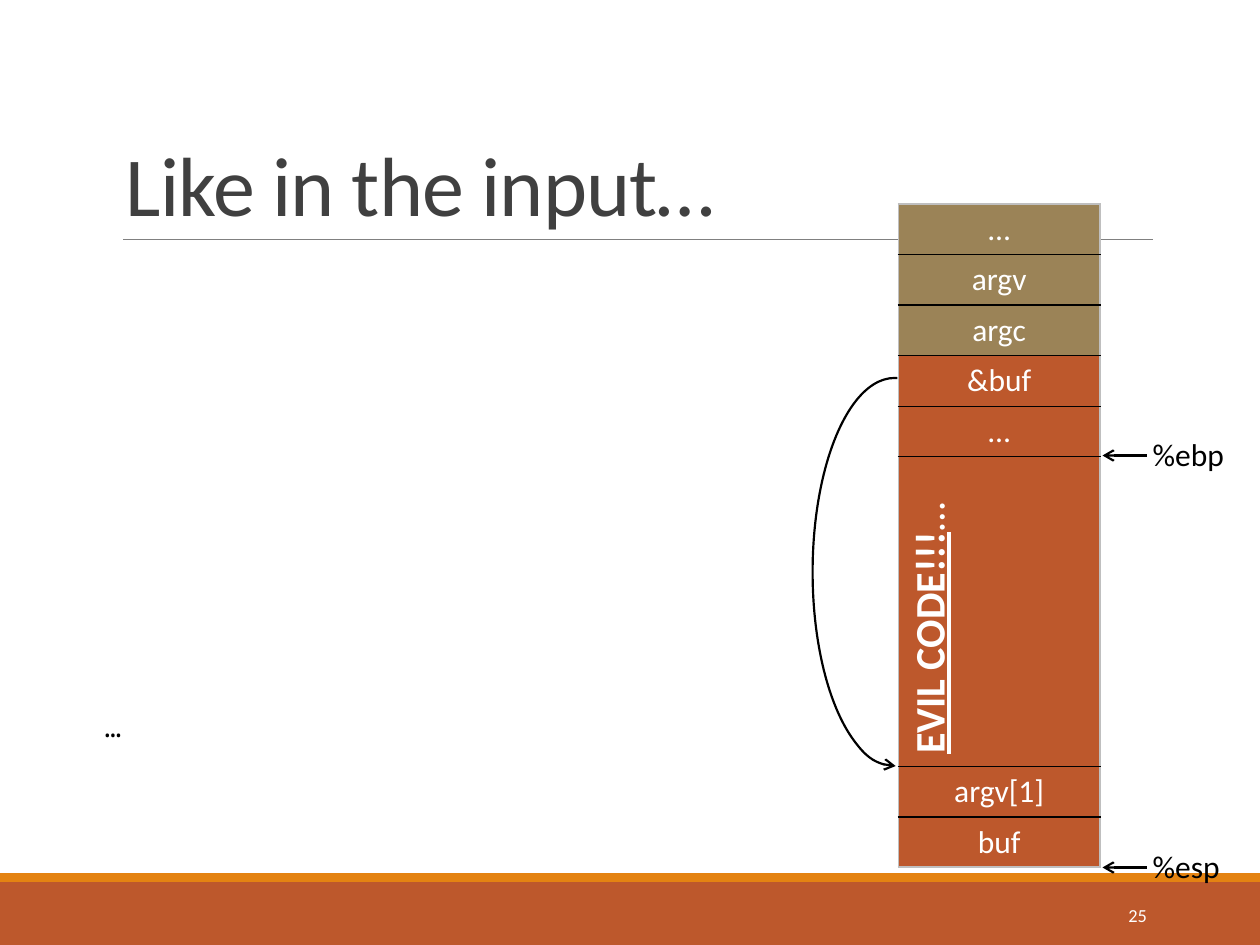
from dataclasses import dataclass

from lxml.etree import SubElement
from pptx import Presentation
from pptx.dml.color import RGBColor
from pptx.enum.shapes import MSO_CONNECTOR, MSO_SHAPE
from pptx.enum.text import MSO_ANCHOR, PP_ALIGN
from pptx.oxml import parse_xml
from pptx.oxml.ns import nsdecls, qn
from pptx.util import Inches, Pt


@dataclass(frozen=True)
class Theme:
    """Colours, fonts and type sizes of the slide."""
    black: str = "000000"
    white: str = "FFFFFF"
    heading: str = "404040"
    rule: str = "808080"
    edge: str = "BFBFBF"
    rust: str = "BD582C"
    orange: str = "E48312"
    khaki: str = "9B8357"
    font: str = "Calibri"
    mono: str = "Noto Sans Mono"
    title: float = 48
    evil: float = 24
    label: float = 18
    code: float = 16
    number: float = 10.5


@dataclass(frozen=True)
class Box:
    """A region in columns and rows of a 100 by 75 grid."""
    column: float
    row: float
    columns: float
    rows: float

    def lengths(self):
        """Return left, top, width and height."""
        return [grid(n) for n in (self.column, self.row, self.columns, self.rows)]


THEME = Theme()
SLIDE = Box(0, 0, 100, 75)


def grid(units):
    """Convert grid units to a length."""
    return Inches(units / 10)


def rgb(code):
    """Return a colour from its hex code."""
    return RGBColor.from_string(code)


def add_run(paragraph, text, size, color, font=THEME.font, strong=False):
    """Append one styled run."""
    run = paragraph.add_run()
    run.text = text
    run.font.name = font
    run.font.size = Pt(size)
    run.font.color.rgb = rgb(color)
    run.font.bold = run.font.underline = strong
    return run


def add_text(slide, box, text, size, color, font=THEME.font, anchor=MSO_ANCHOR.TOP, wrap=True):
    """Place a one-line text box and return its frame and run."""
    frame = slide.shapes.add_textbox(*box.lengths()).text_frame
    frame.word_wrap = wrap
    frame.vertical_anchor = anchor
    return frame, add_run(frame.paragraphs[0], text, size, color, font)


def add_line(slide, start, end, color, width):
    """Draw a straight connector between two grid points."""
    points = [grid(n) for n in (*start, *end)]
    line = slide.shapes.add_connector(MSO_CONNECTOR.STRAIGHT, *points)
    line.line.color.rgb = rgb(color)
    line.line.width = Pt(width)
    SubElement(line._element.spPr, qn("a:effectLst"))
    return line


def add_arrowhead(shape, end):
    """Put an open arrowhead on the headEnd or tailEnd of a line."""
    SubElement(shape.line._get_or_add_ln(), qn(f"a:{end}"), type="arrow")


def add_footer(slide, box, number):
    """Draw the two footer bands and the slide number."""
    stripe = 0.7
    bands = (
        (Box(box.column, box.row + stripe, box.columns, box.rows - stripe), THEME.rust),
        (Box(box.column, box.row, box.columns, stripe), THEME.orange),
    )
    for band, color in bands:
        shape = slide.shapes.add_shape(MSO_SHAPE.RECTANGLE, *band.lengths())
        shape.shadow.inherit = False
        shape.fill.solid()
        shape.fill.fore_color.rgb = rgb(color)
        shape.line.fill.background()
    number_box = Box(box.column + 81.2, box.row + 1.3, 10.8, 4)
    frame, _ = add_text(slide, number_box, number, THEME.number, THEME.white,
                        anchor=MSO_ANCHOR.MIDDLE)
    frame.paragraphs[0].alignment = PP_ALIGN.RIGHT


def add_title(slide, box, text):
    """Place the title above its rule."""
    bottom = box.row + box.rows
    add_line(slide, (box.column + 0.8, bottom), (box.column + box.columns, bottom),
             THEME.rule, 0.5)
    frame, run = add_text(slide, box, text, THEME.title, THEME.heading,
                          anchor=MSO_ANCHOR.BOTTOM)
    frame.paragraphs[0].line_spacing = 0.85
    run.font._element.set("spc", "-50")


def add_code(slide, box, text):
    """Place the last visible code line low in its box."""
    frame, _ = add_text(slide, box, text, THEME.code, THEME.black, THEME.mono)
    frame.margin_left = grid(5)
    frame.margin_top = grid(43.8)


def set_borders(cell, top, bottom):
    """Give a cell grey sides and the stated top and bottom borders."""
    side = (THEME.edge, 1)
    borders = zip(("lnL", "lnR", "lnT", "lnB"), (side, side, top, bottom))
    properties = cell._tc.get_or_add_tcPr()
    for index, (tag, (color, width)) in enumerate(borders):
        properties.insert(index, parse_xml(
            f'<a:{tag} {nsdecls("a")} w="{Pt(width)}"><a:solidFill>'
            f'<a:srgbClr val="{color}"/></a:solidFill></a:{tag}>'))


def add_stack(slide, box):
    """Draw the stack as a one-column table."""
    texts = ("…", "argv", "argc", "&buf", "…", "EVIL CODE!!!", "argv[1]", "buf")
    evil, row_height = 5, 4
    edge, thick, thin = (THEME.edge, 1), (THEME.black, 1), (THEME.black, 0.5)
    borders = (edge, thick, thick, thick, thin, thin, thick, thick, edge)
    table = slide.shapes.add_table(len(texts), 1, *box.lengths()).table
    table.first_row = table.horz_banding = False
    for index, text in enumerate(texts):
        height = box.rows - row_height * (len(texts) - 1) if index == evil else row_height
        table.rows[index].height = grid(height)
        cell = table.cell(index, 0)
        cell.fill.solid()
        cell.fill.fore_color.rgb = rgb(THEME.khaki if index < 3 else THEME.rust)
        set_borders(cell, borders[index], borders[index + 1])
        paragraph = cell.text_frame.paragraphs[0]
        if index == evil:
            cell.vertical_anchor = MSO_ANCHOR.MIDDLE
            cell._tc.get_or_add_tcPr().set("vert", "vert270")
            add_run(paragraph, text, THEME.evil, THEME.white, strong=True)
            add_run(paragraph, "…", THEME.evil, THEME.white)
        else:
            paragraph.alignment = PP_ALIGN.CENTER
            add_run(paragraph, text, THEME.label, THEME.white)


def add_register(slide, box, name):
    """Place a register name with an arrow to the stack."""
    middle = box.row + 2.15
    add_text(slide, box, name, THEME.label, THEME.black, wrap=False)
    arrow = add_line(slide, (box.column + 0.5, middle), (box.column - 3, middle),
                     THEME.black, 1.25)
    add_arrowhead(arrow, "tailEnd")


def add_jump(slide, box):
    """Draw the curved arrow from the return address to the code."""
    arc = slide.shapes.add_shape(MSO_SHAPE.ARC, *box.lengths())
    arc.shadow.inherit = False
    arc.fill.background()
    arc.adjustments[0], arc.adjustments[1] = 53.79, 162.51
    arc.line.color.rgb = rgb(THEME.black)
    arc.line.width = Pt(1.25)
    add_arrowhead(arc, "headEnd")


def main():
    """Build and save the slide."""
    presentation = Presentation()
    presentation.slide_width, presentation.slide_height = SLIDE.lengths()[2:]
    slide = presentation.slides.add_slide(presentation.slide_layouts[6])
    add_footer(slide, Box(0, 69.3, SLIDE.columns, 5.7), "25")
    add_code(slide, Box(3.3, 12.5, 72.5, 59.2), "…")
    add_title(slide, Box(9, 3.1, 82.5, 15.9), "Like in the input…")
    add_stack(slide, Box(71.3, 16.2, 16, 52.6))
    add_register(slide, Box(90.5, 34, 8.3, 4), "%ebp")
    add_register(slide, Box(90.5, 66.7, 8.1, 4), "%esp")
    add_jump(slide, Box(64.5, 30, 13, 30.8))
    presentation.save("out.pptx")


if __name__ == "__main__":
    main()
